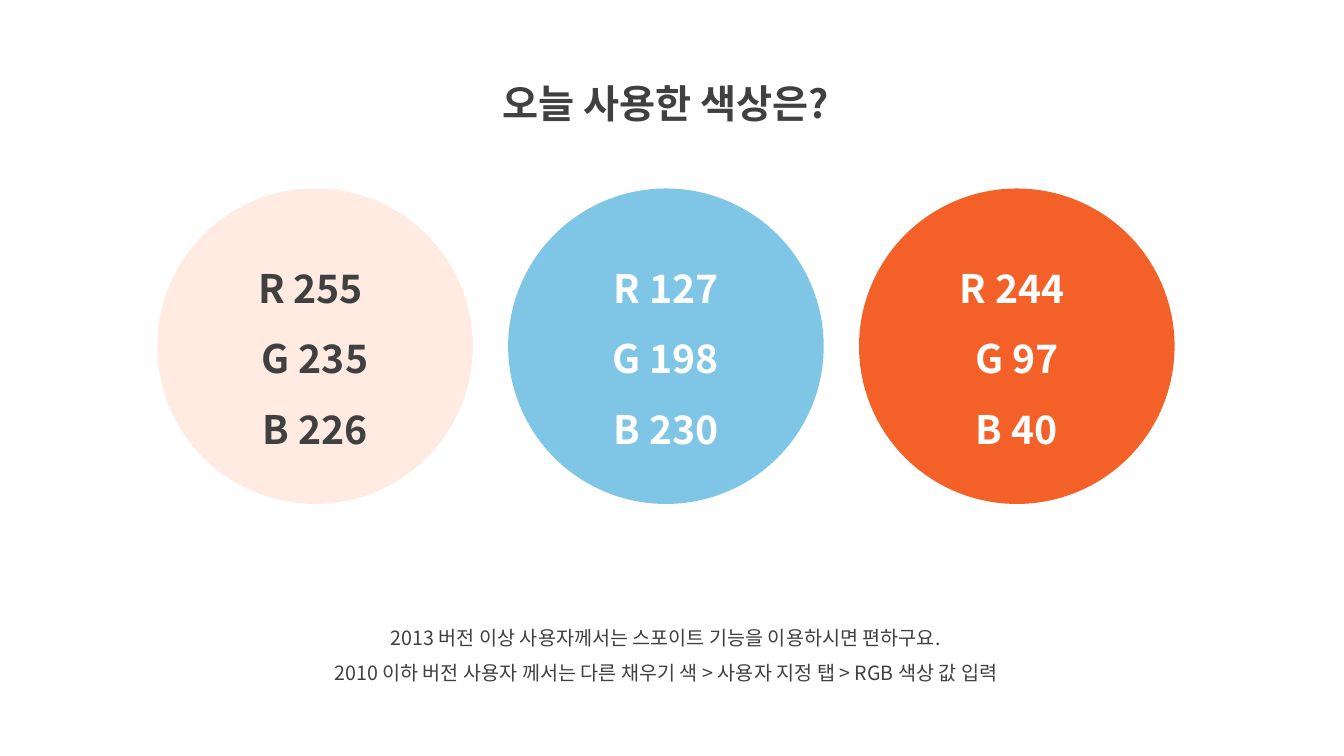
"""Build a slide that shows three palette colours with their RGB values."""
import pptx
import pptx.util
import pptx.dml.color
import pptx.enum.shapes
import pptx.enum.text
import lxml.etree

PX = 9144
FACE = "Noto Sans CJK KR"
HUES = {"peach": "FFEBE2", "blue": "7FC6E6", "orange": "F46128",
        "dark": "404040", "white": "FFFFFF"}


def tint(name):
    return pptx.dml.color.RGBColor.from_string(HUES[name])


def write(shape, lines, size, hue, bold):
    frame = shape.text_frame
    frame.word_wrap = True
    frame.text = "\n".join(lines)
    for para in frame.paragraphs:
        para.alignment = pptx.enum.text.PP_ALIGN.CENTER
        para.line_spacing = 1.5
        font = para.runs[0].font
        look = {"name": FACE, "size": pptx.util.Pt(size), "bold": bold}
        for key, value in look.items():
            setattr(font, key, value)
        font.color.rgb = tint(hue)
        props = para.runs[0]._r.get_or_add_rPr()
        lxml.etree.SubElement(props, pptx.oxml.ns.qn("a:ea"), typeface=FACE)


deck = pptx.Presentation()
deck.slide_width = 1333 * PX
deck.slide_height = 750 * PX
slide = deck.slides.add_slide(deck.slide_layouts[6])

texts = [
    ((429, 50, 463, 72), ["오늘 사용한 색상은?"], 28, True),
    ((261, 604, 799, 81),
     ["2013 버전 이상 사용자께서는 스포이트 기능을 이용하시면 편하구요.",
      "2010 이하 버전 사용자 께서는 다른 채우기 색 > 사용자 지정 탭 > RGB 색상 값 입력"],
     14, False),
]
for area, lines, size, bold in texts:
    box = slide.shapes.add_textbox(*[n * PX for n in area])
    write(box, lines, size, "dark", bold)

discs = [
    ("peach", "dark", ["R 255 ", "G 235", "B 226"]),
    ("blue", "white", ["R 127", "G 198", "B 230"]),
    ("orange", "white", ["R 244 ", "G 97", "B 40"]),
]
left, top, width, step = 156, 187, 313, 348
for i, (fill, hue, lines) in enumerate(discs):
    disc = slide.shapes.add_shape(
        pptx.enum.shapes.MSO_SHAPE.OVAL,
        (left + i * step) * PX, top * PX, width * PX, width * PX)
    disc.shadow.inherit = False
    disc.fill.solid()
    disc.fill.fore_color.rgb = tint(fill)
    disc.line.fill.background()
    disc.text_frame.vertical_anchor = pptx.enum.text.MSO_ANCHOR.MIDDLE
    write(disc, lines, 28, hue, True)

deck.save("out.pptx")
